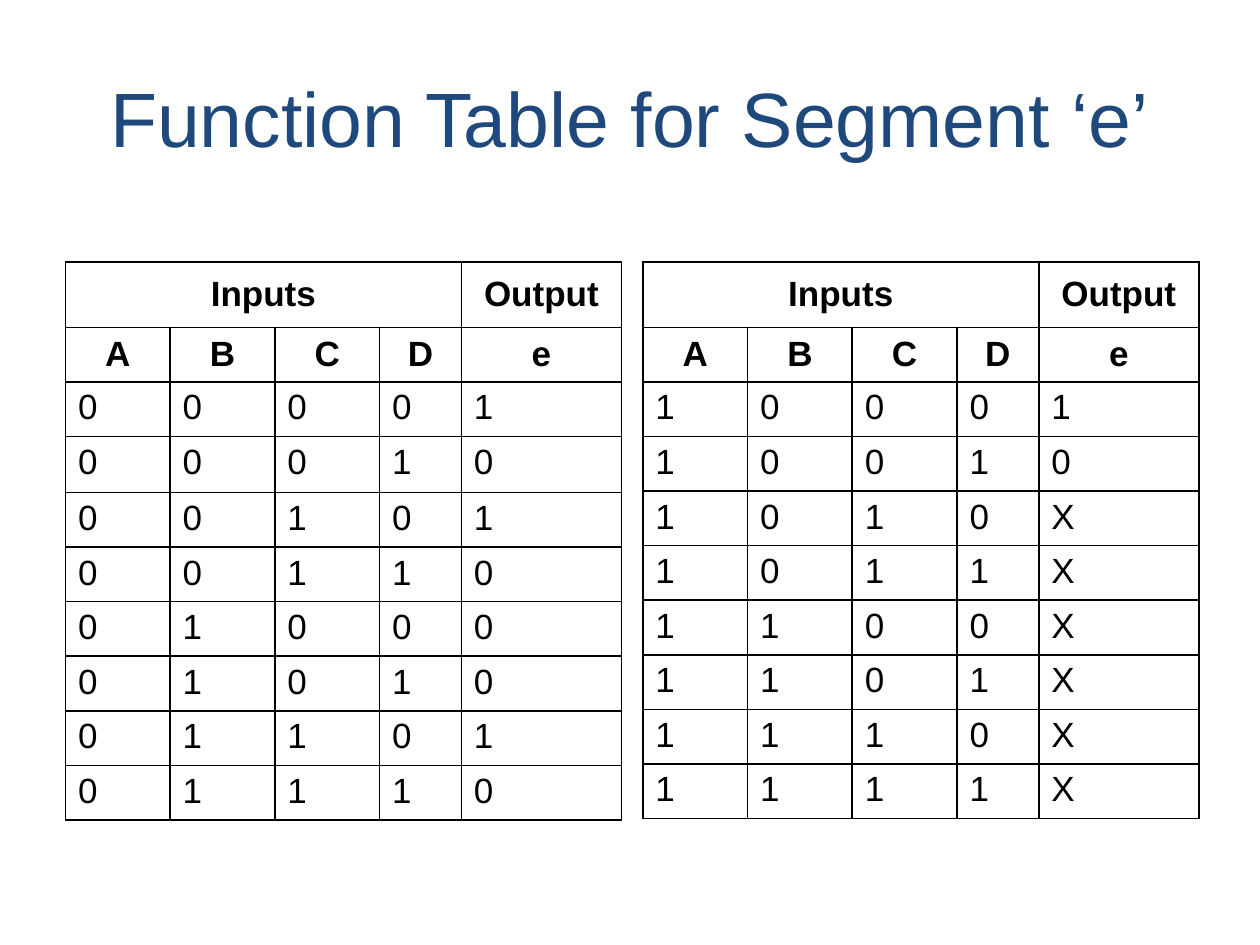
from lxml.etree import SubElement
from pptx import Presentation
from pptx.dml.color import RGBColor as Rgb
from pptx.enum.text import MSO_ANCHOR as Anchor, PP_ALIGN as Align
from pptx.oxml.ns import qn
from pptx.util import Cm, Pt

COLORS = {"title": "1F497D", "ink": "000000"}
COLUMN_WIDTHS = [2.11, 2.11, 2.11, 1.65, 3.23]
HEADER_ROWS = [["Inputs", "", "", "", "Output"], ["A", "B", "C", "D", "e"]]
SEGMENT_E = "1010001010XXXXXX"


def write_text(frame, text, size=20, color="ink", bold=False, align=Align.CENTER, hanging=0):
    paragraph = frame.paragraphs[0]
    paragraph.alignment = align
    if hanging:
        properties = paragraph._p.get_or_add_pPr()
        properties.set("marL", str(Cm(hanging)))
        properties.set("indent", str(-Cm(hanging)))
    run = paragraph.add_run()
    run.text = text
    run.font.name = "Arial"
    run.font.size = Pt(size)
    run.font.bold = bold
    run.font.color.rgb = Rgb.from_string(COLORS[color])


class SlideBuilder:
    def __init__(self, presentation, border_width=1):
        self.border_width = border_width
        self.slide = presentation.slides.add_slide(presentation.slide_layouts[5])

    def title(self, text, left, top, width, height):
        shape = self.slide.shapes.title
        shape.left, shape.top, shape.width, shape.height = map(Cm, (left, top, width, height))
        shape.text_frame.vertical_anchor = Anchor.MIDDLE
        write_text(shape.text_frame, text, size=44, color="title")

    def borders(self, cell):
        properties = cell._tc.get_or_add_tcPr()
        for side in ("lnL", "lnR", "lnT", "lnB"):
            line = SubElement(properties, qn(f"a:{side}"), w=str(Pt(self.border_width)))
            fill = SubElement(line, qn("a:solidFill"))
            SubElement(fill, qn("a:srgbClr"), val=COLORS["ink"])

    def truth_table(self, numbers, left, top, row_heights, hanging=0):
        rows = HEADER_ROWS + [[*f"{number:04b}", SEGMENT_E[number]] for number in numbers]
        frame = self.slide.shapes.add_table(
            len(rows), len(COLUMN_WIDTHS), Cm(left), Cm(top),
            Cm(sum(COLUMN_WIDTHS)), Cm(sum(row_heights)))
        table = frame.table
        table.first_row = table.horz_banding = False
        for column, width in zip(table.columns, COLUMN_WIDTHS):
            column.width = Cm(width)
        for row, height in zip(table.rows, row_heights):
            row.height = Cm(height)
        table.cell(0, 0).merge(table.cell(0, 3))
        for row_index, values in enumerate(rows):
            header = row_index < len(HEADER_ROWS)
            for column_index, text in enumerate(values):
                cell = table.cell(row_index, column_index)
                self.borders(cell)
                cell.fill.background()
                cell.vertical_anchor = Anchor.MIDDLE if header else Anchor.TOP
                if text:
                    write_text(cell.text_frame, text, bold=header, hanging=hanging,
                               align=Align.CENTER if header else Align.JUSTIFY)


def main():
    presentation = Presentation()
    presentation.slide_width, presentation.slide_height = Cm(25.4), Cm(19.05)
    builder = SlideBuilder(presentation)
    builder.title("Function Table for Segment ‘e’", 1.27, 0.76, 22.86, 3.18)
    builder.truth_table(range(8), 1.32, 5.28, [1.32, 1.1, 1.1, 1.13] + [1.1] * 6, hanging=0.95)
    builder.truth_table(range(8, 16), 12.96, 5.28, [1.32] + [1.1] * 9)
    presentation.save("out.pptx")


if __name__ == "__main__":
    main()
